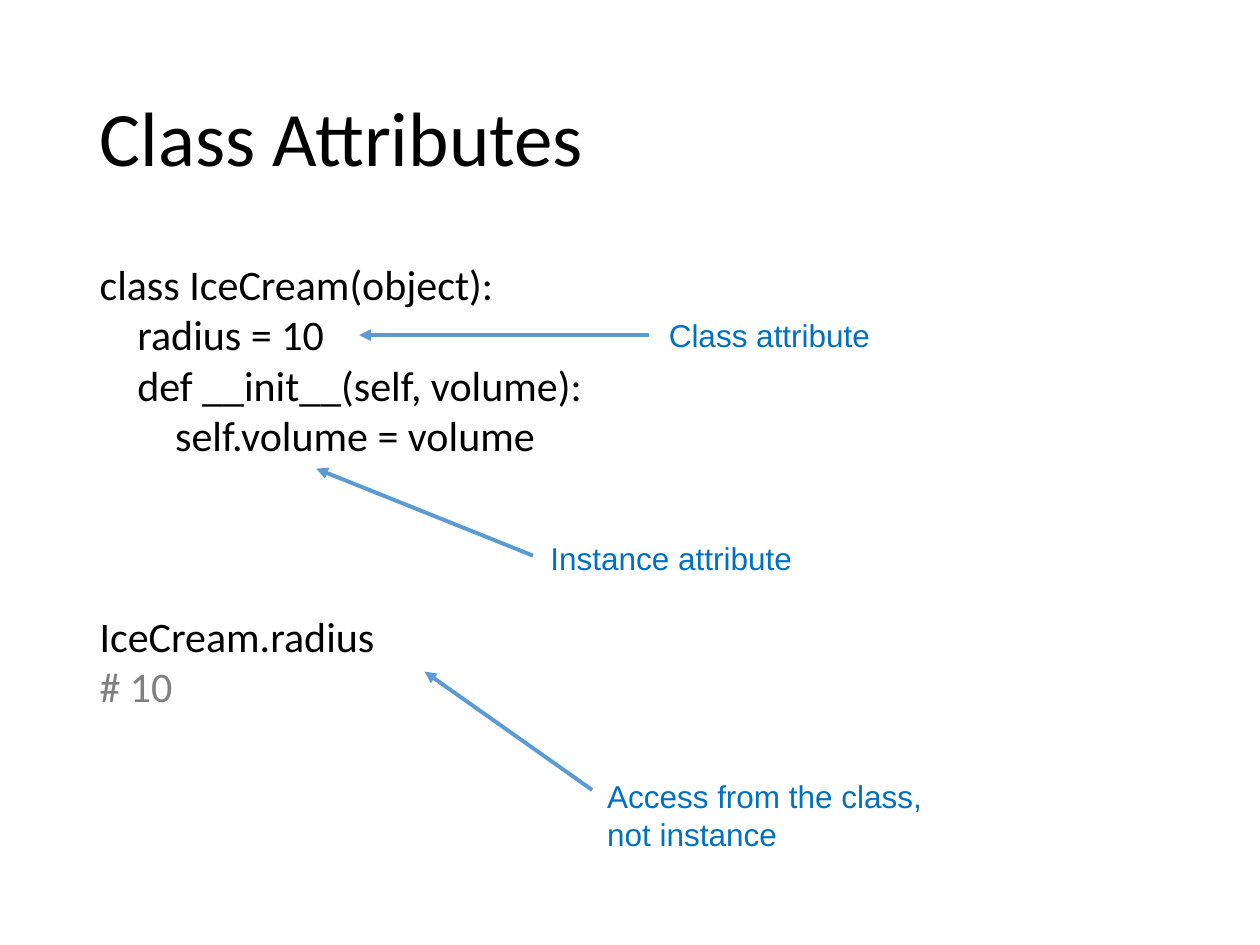
from dataclasses import dataclass

from lxml import etree
from pptx import Presentation
from pptx import util as u
from pptx.dml.color import RGBColor
from pptx.enum import shapes, text
from pptx.oxml.ns import qn


@dataclass
class Theme:
    code_font: str = "Calibri"
    label_font: str = "Arial"
    title_size: int = 44
    code_size: int = 24
    label_size: int = 18
    ink: str = "000000"
    comment: str = "808080"
    label: str = "0070C0"
    arrow: str = "5B9BD5"
    arrow_width: float = 2.25


theme = Theme()
LEFT = 0.69
INDENT = 0.3  # one code level, in inches
SECTION_GAP = 86  # three code lines, in points


def style(paragraph, font, size, color):
    paragraph.font.name = font
    paragraph.font.size = u.Pt(size)
    paragraph.font.color.rgb = RGBColor.from_string(color)
    paragraph.alignment = text.PP_ALIGN.LEFT


def place(shape, left, top, width, height):
    shape.left, shape.top = u.Inches(left), u.Inches(top)
    shape.width, shape.height = u.Inches(width), u.Inches(height)


presentation = Presentation()
presentation.slide_width, presentation.slide_height = u.Inches(10), u.Inches(7.5)
slide = presentation.slides.add_slide(presentation.slide_layouts[1])
title, code = slide.placeholders

# Title
place(title, LEFT, 0.4, 8.62, 1.45)
title.text_frame.text = "Class Attributes"
title.text_frame.auto_size = text.MSO_AUTO_SIZE.NONE
title.text_frame.vertical_anchor = text.MSO_ANCHOR.MIDDLE
title.text_frame.paragraphs[0].line_spacing = 0.9
style(title.text_frame.paragraphs[0], theme.code_font, theme.title_size, theme.ink)

# Code: text, indent level, space before, colour
code_lines = [
    ("class IceCream(object):", 0, 0, theme.ink),
    ("radius = 10", 1, 0, theme.ink),
    ("def __init__(self, volume):", 1, 0, theme.ink),
    ("self.volume = volume", 2, 0, theme.ink),
    ("IceCream.radius", 0, SECTION_GAP, theme.ink),
    ("# 10", 0, 0, theme.comment),
]
place(code, LEFT, 2, 8.46, 4.14)
frame = code.text_frame
frame.auto_size = text.MSO_AUTO_SIZE.NONE
frame.vertical_anchor = text.MSO_ANCHOR.TOP
frame.text = "\n".join(line[0] for line in code_lines)
for paragraph, (_, level, gap, color) in zip(frame.paragraphs, code_lines):
    style(paragraph, theme.code_font, theme.code_size, color)
    paragraph.space_before = u.Pt(gap)
    properties = paragraph._p.get_or_add_pPr()
    properties.set("marL", str(u.Inches(level * INDENT)))
    properties.set("indent", "0")
    etree.SubElement(properties, qn("a:buNone")) if properties.find(qn("a:defRPr")) is None \
        else properties.find(qn("a:defRPr")).addprevious(etree.Element(qn("a:buNone")))

# Labels with arrows: text, box, arrow start, arrow tip
notes = [
    ("Class attribute", (5.21, 2.46, 2.23, 0.4), (5.15, 2.66), (2.85, 2.66)),
    ("Instance attribute", (4.27, 4.23, 2.23, 0.4), (4.23, 4.41), (2.51, 3.72)),
    ("Access from the class, not instance", (4.72, 6.12, 2.74, 0.71), (4.7, 6.27), (3.37, 5.33)),
]
for wording, box, start, tip in notes:
    label = slide.shapes.add_textbox(*map(u.Inches, box))
    label.text_frame.word_wrap = True
    label.text_frame.text = wording
    style(label.text_frame.paragraphs[0], theme.label_font, theme.label_size, theme.label)

    arrow = slide.shapes.add_connector(
        shapes.MSO_CONNECTOR.STRAIGHT, *map(u.Inches, start + tip))
    arrow.line.color.rgb = RGBColor.from_string(theme.arrow)
    arrow.line.width = u.Pt(theme.arrow_width)
    etree.SubElement(arrow.line._get_or_add_ln(), qn("a:tailEnd"), type="triangle")
    etree.SubElement(arrow._element.spPr, qn("a:effectLst"))

presentation.save("out.pptx")
